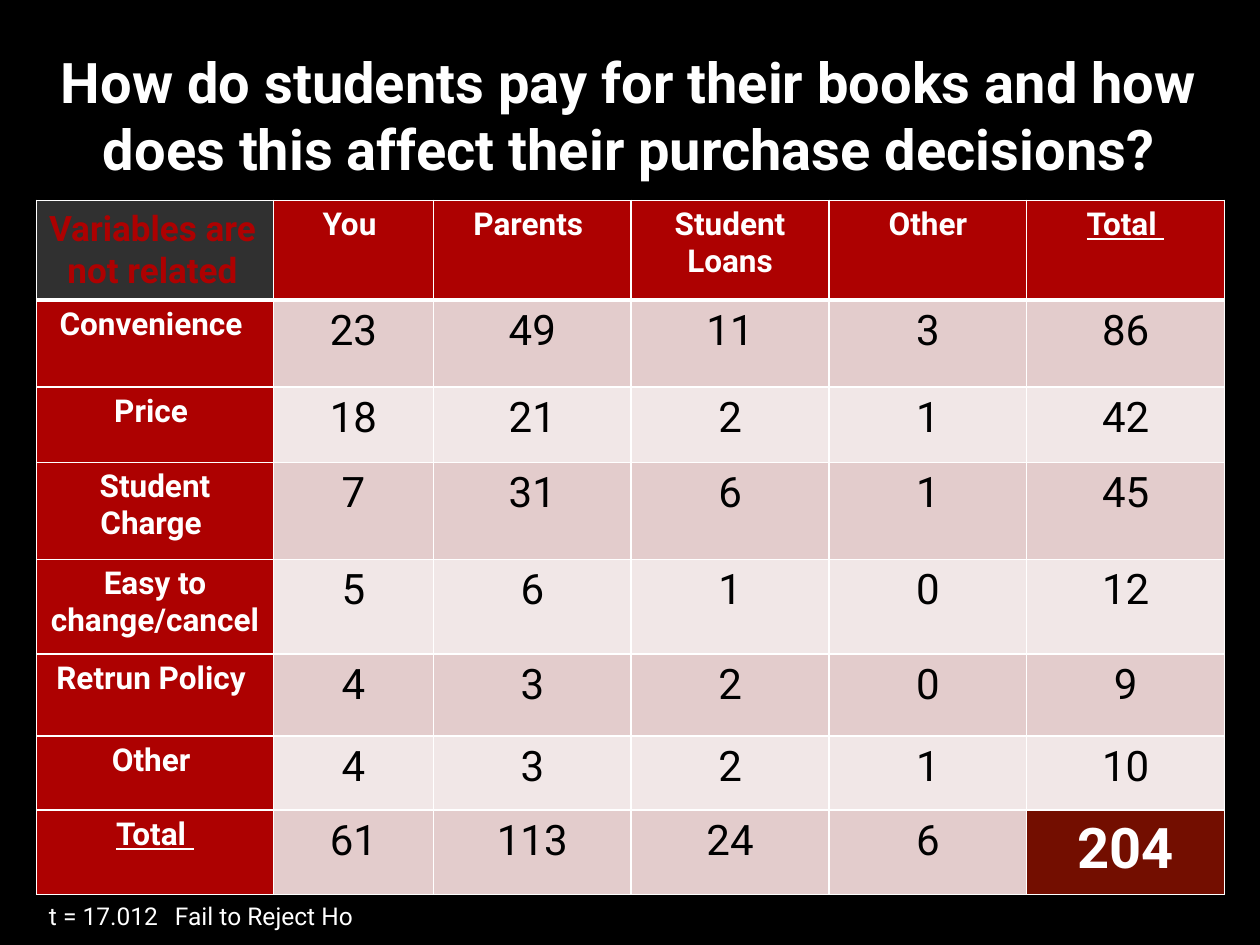
from lxml import etree
from pptx import Presentation, util as u
from pptx.dml.color import RGBColor
from pptx.enum import text
from pptx.oxml.ns import qn

COLORS = {
    "black": "000000", "white": "FFFFFF", "red": "AD0101", "corner": "303030",
    "band_dark": "E3CCCC", "band_light": "F1E7E7", "grand_total": "730E00",
}
COL_WIDTHS = [1.88, 1.27, 1.57, 1.57, 1.57, 1.57]
ROW_HEIGHTS = [0.79, 0.69, 0.6, 0.77, 0.75, 0.65, 0.59, 0.67]
PAYMENT_TABLE = [
    ["", "You ", "Parents ", "Student Loans", "Other", "Total "],
    ["Convenience ", 23, 49, 11, 3, 86],
    ["Price ", 18, 21, 2, 1, 42],
    ["Student Charge ", 7, 31, 6, 1, 45],
    ["Easy to change/cancel ", 5, 6, 1, 0, 12],
    ["Retrun Policy ", 4, 3, 2, 0, 9],
    ["Other ", 4, 3, 2, 1, 10],
    ["Total ", 61, 113, 24, 6, 204],
]


def rgb(name):
    return RGBColor.from_string(COLORS[name])


class SlideBuilder:
    font = "Roboto"

    def __init__(self, prs):
        self.s = prs.slides.add_slide(prs.slide_layouts[5])
        fill = self.s.background.fill
        fill.solid()
        fill.fore_color.rgb = rgb("black")

    def add_text(self, p, words, size, color="white", bold=False, underline=None,
                 align=text.PP_ALIGN.CENTER):
        p.alignment = align
        r = p.add_run()
        r.text = words
        f = r.font
        f.name, f.size, f.bold, f.underline = self.font, u.Pt(size), bold, underline
        f.color.rgb = rgb(color)

    def title(self, words, left, top, width, height):
        sp = self.s.shapes.title
        sp.left, sp.top = u.Inches(left), u.Inches(top)
        sp.width, sp.height = u.Inches(width), u.Inches(height)
        tf = sp.text_frame
        tf.auto_size = text.MSO_AUTO_SIZE.NONE
        tf.vertical_anchor = text.MSO_ANCHOR.MIDDLE
        self.add_text(tf.paragraphs[0], words, 32, bold=True)

    def text_box(self, lines, left, top, width, height, size, **style):
        sp = self.s.shapes.add_textbox(*map(u.Inches, (left, top, width, height)))
        tf = sp.text_frame
        tf.word_wrap = True
        tf.auto_size = text.MSO_AUTO_SIZE.SHAPE_TO_FIT_TEXT
        for i, line in enumerate(lines):
            p = tf.add_paragraph() if i else tf.paragraphs[0]
            self.add_text(p, line, size, **style)

    def borders(self, cell, top, bottom):
        """Put white borders on a cell, 1 pt at the sides."""
        tc_pr = cell._tc.get_or_add_tcPr()
        widths = {"a:lnL": 1, "a:lnR": 1, "a:lnT": top, "a:lnB": bottom}
        for i, (tag, width) in enumerate(widths.items()):
            ln = etree.Element(qn(tag), w=str(u.Pt(width)))
            fill = etree.SubElement(ln, qn("a:solidFill"))
            etree.SubElement(fill, qn("a:srgbClr"), val=COLORS["white"])
            tc_pr.insert(i, ln)

    def table(self, rows, left, top, col_widths, row_heights):
        frame = self.s.shapes.add_table(
            len(rows), len(col_widths), u.Inches(left), u.Inches(top),
            u.Inches(sum(col_widths)), u.Inches(sum(row_heights)))
        tbl = frame.table
        for col, width in zip(tbl.columns, col_widths):
            col.width = u.Inches(width)
        for row, height in zip(tbl.rows, row_heights):
            row.height = u.Inches(height)
        for i, values in enumerate(rows):
            for j, value in enumerate(values):
                self.table_cell(tbl.cell(i, j), value, i, j,
                                is_last=(i == len(rows) - 1 and j == len(values) - 1))

    def table_cell(self, cell, value, i, j, is_last):
        if i == j == 0:
            fill, style = "corner", None
        elif i == 0 or j == 0:
            fill = "red"
            style = dict(size=18, bold=True,
                         underline=True if value == "Total " else None)
        elif is_last:
            fill, style = "grand_total", dict(size=32, bold=True)
        else:
            fill = "band_dark" if i % 2 else "band_light"
            style = dict(size=24, color="black")
        cell.fill.solid()
        cell.fill.fore_color.rgb = rgb(fill)
        self.borders(cell, top=3 if i == 1 else 1, bottom=3 if i == 0 else 1)
        if style:
            self.add_text(cell.text_frame.paragraphs[0], str(value), **style)


def main():
    prs = Presentation()
    prs.slide_width, prs.slide_height = u.Inches(10), u.Inches(7.5)
    slide = SlideBuilder(prs)
    slide.title("How do students pay for their books and how does this affect "
                "their purchase decisions?", 0.11, 0.13, 9.77, 1.56)
    slide.table(PAYMENT_TABLE, 0.29, 1.59, COL_WIDTHS, ROW_HEIGHTS)
    slide.text_box(["t = 17.012\tFail to Reject Ho"], 0.29, 7.1, 9.71, 0.34, 14,
                   align=text.PP_ALIGN.LEFT)
    slide.text_box(["Variables are ", "not related "], 0.29, 1.59, 1.91, 0.77, 20,
                   color="red", bold=True)
    prs.save("out.pptx")


if __name__ == "__main__":
    main()
